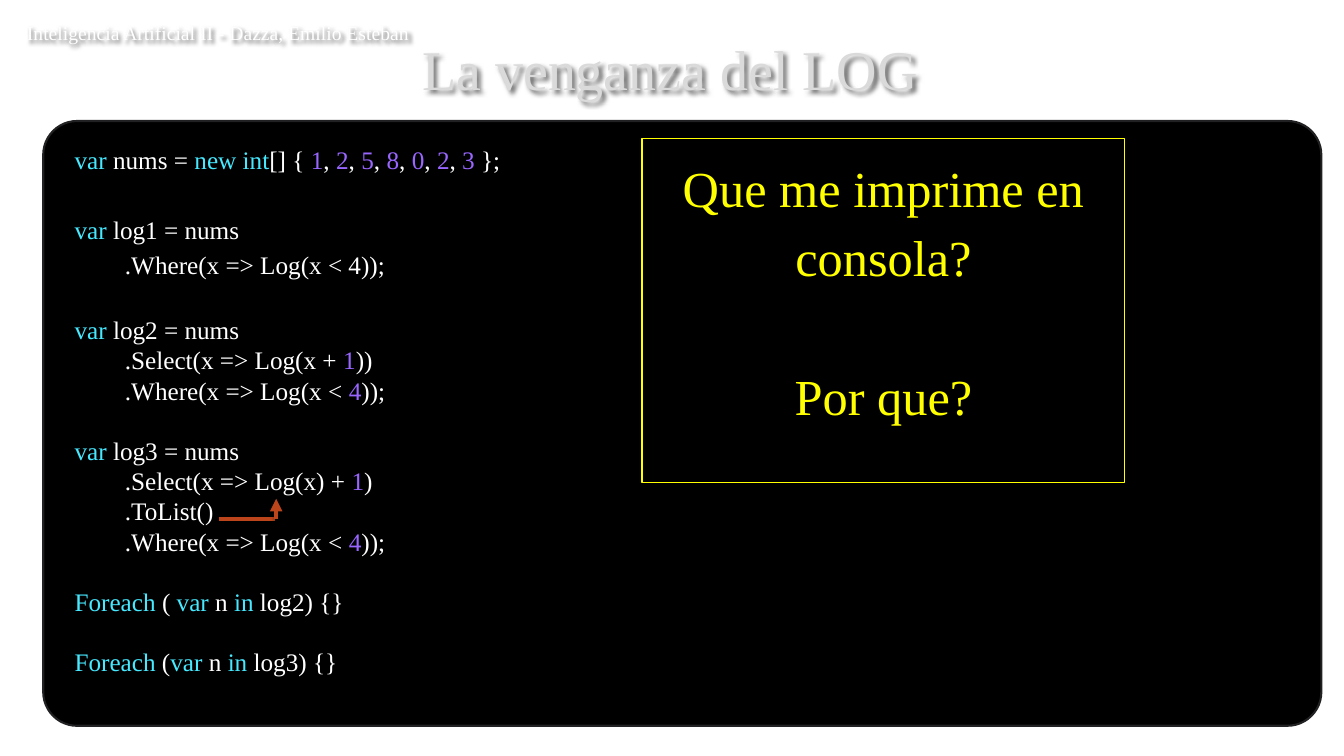
from dataclasses import dataclass
from lxml import etree
from pptx import Presentation
from pptx.dml.color import RGBColor
from pptx.enum.shapes import MSO_CONNECTOR, MSO_SHAPE
from pptx.enum.text import MSO_ANCHOR, PP_ALIGN
from pptx.oxml.ns import qn
from pptx.util import Cm, Pt

LEFT, CENTER = PP_ALIGN.LEFT, PP_ALIGN.CENTER
TOP, MIDDLE = MSO_ANCHOR.TOP, MSO_ANCHOR.MIDDLE
ROUND, RECT = MSO_SHAPE.ROUNDED_RECTANGLE, MSO_SHAPE.RECTANGLE
STRAIGHT = MSO_CONNECTOR.STRAIGHT
FONT = "Times New Roman"
COLORS = {
    "white": "FFFFFF", "black": "000000", "edge": "212123", "title": "DADADA",
    "key": "47E9FF", "number": "9966FF", "yellow": "FFFF00", "arrow": "BC451B",
}
KEYS = {"var", "new int", "Foreach", "in"}


@dataclass
class Box:
    left: float
    top: float
    width: float
    height: float

    def place(self) -> list:
        return [Cm(n) for n in (self.left, self.top, self.width, self.height)]


@dataclass
class Line:
    text: str
    indent: bool = False
    before: float = 0
    spacing: float = 1.0


@dataclass
class Arrow:
    x1: float
    y1: float
    x2: float
    y2: float
    head: bool = False


CODE = [
    Line("var |nums = |new int|[] { |1|, |2|, |5|, |8|, |0|, |2|, |3 |};", spacing=1.15),
    Line("var| log1 = nums", before=25, spacing=1.15),
    Line(".Where(x => Log(x < 4));", True, spacing=1.15),
    Line("var| log2 = nums", before=25),
    Line(".Select(x => Log(x + |1|))", True),
    Line(".Where(x => Log(x < |4|));", True),
    Line("var| log3 = nums", before=21.5),
    Line(".Select(x => Log(x) + |1|)", True),
    Line(".ToList()", True),
    Line(".Where(x => Log(x < |4|));", True),
    Line("Foreach |( |var| n |in| log2) {}", before=21.5),
    Line("Foreach| (|var| n |in| log3) {}", before=21.5),
]
ASK = [
    Line("Que me imprime en consola?", spacing=1.15),
    Line("Por que?", before=49.5, spacing=1.15),
]
ARROWS = [
    Arrow(5.51, 13.08, 6.93, 13.08),
    Arrow(6.96, 13.08, 6.96, 12.57, True),
]


def color(name: str) -> RGBColor:
    return RGBColor.from_string(COLORS[name])


def tint(piece: str, base: str) -> str:
    word = piece.strip()
    if word in KEYS:
        return "key"
    return "number" if word.isdigit() else base


def shade(shape, blur: float, dist: float, angle: int, alpha: int) -> None:
    effects = etree.SubElement(shape._element.spPr, qn("a:effectLst"))
    outer = etree.SubElement(effects, qn("a:outerShdw"), blurRad=str(Pt(blur)),
                             dist=str(Pt(dist)), dir=str(angle * 60000),
                             algn="tl", rotWithShape="0")
    hue = etree.SubElement(outer, qn("a:srgbClr"), val=COLORS["black"])
    etree.SubElement(hue, qn("a:alpha"), val=str(alpha * 1000))


def write(shape, lines: list[Line], size: float, base: str, align=LEFT,
          anchor=TOP, pad: float = 0.25) -> None:
    frame = shape.text_frame
    frame.word_wrap = True
    frame.vertical_anchor = anchor
    frame.margin_left = frame.margin_right = Cm(0.25)
    frame.margin_top = frame.margin_bottom = Cm(pad)
    for i, line in enumerate(lines):
        para = frame.add_paragraph() if i else frame.paragraphs[0]
        para.alignment = align
        para.line_spacing = line.spacing
        para.space_before = Pt(line.before)
        if line.indent:
            para._p.get_or_add_pPr().set("indent", str(Cm(1.27)))
        for piece in line.text.split("|"):
            run = para.add_run()
            run.text = piece
            run.font.name = FONT
            run.font.size = Pt(size)
            run.font.color.rgb = color(tint(piece, base))


def panel(slide, kind, box: Box, edge: str, width: float):
    shape = slide.shapes.add_shape(kind, *box.place())
    shape.shadow.inherit = False
    shape.fill.background()
    shape.line.color.rgb = color(edge)
    shape.line.width = Pt(width)
    return shape


def draw(slide, arrow: Arrow) -> None:
    ends = [Cm(n) for n in (arrow.x1, arrow.y1, arrow.x2, arrow.y2)]
    link = slide.shapes.add_connector(STRAIGHT, *ends)
    link.line.color.rgb = color("arrow")
    link.line.width = Pt(3)
    if arrow.head:
        etree.SubElement(link.line._get_or_add_ln(), qn("a:tailEnd"), type="triangle")
    shade(link, 3.1, 1.8, 90, 35)


def main() -> None:
    deck = Presentation()
    deck.slide_width, deck.slide_height = Cm(33.87), Cm(19.05)
    slide = deck.slides.add_slide(deck.slide_layouts[6])
    shapes = slide.shapes

    title = shapes.add_textbox(*Box(2.51, 0.58, 28.75, 2.29).place())
    write(title, [Line("La venganza del LOG")], 40, "title", CENTER, MIDDLE)
    shade(title, 3, 2, 45, 60)

    board = panel(slide, ROUND, Box(1.09, 3.05, 32.21, 15.24), "edge", 1.5)
    board.adjustments[0] = 0.056
    board.fill.solid()
    board.fill.fore_color.rgb = color("black")

    code = shapes.add_textbox(*Box(1.63, 3.28, 12.17, 15.01).place())
    write(code, CODE, 18, "white")

    head = shapes.add_textbox(*Box(0.43, 0.41, 10.52, 0.99).place())
    write(head, [Line("Inteligencia Artificial II - Dazza, Emilio Esteban")],
          14, "white", pad=0.13)
    shade(head, 3, 2, 45, 60)

    ask = panel(slide, RECT, Box(16.18, 3.48, 12.17, 8.69), "yellow", 0.75)
    write(ask, ASK, 36, "yellow", CENTER)

    for arrow in ARROWS:
        draw(slide, arrow)
    deck.save("out.pptx")


if __name__ == "__main__":
    main()
